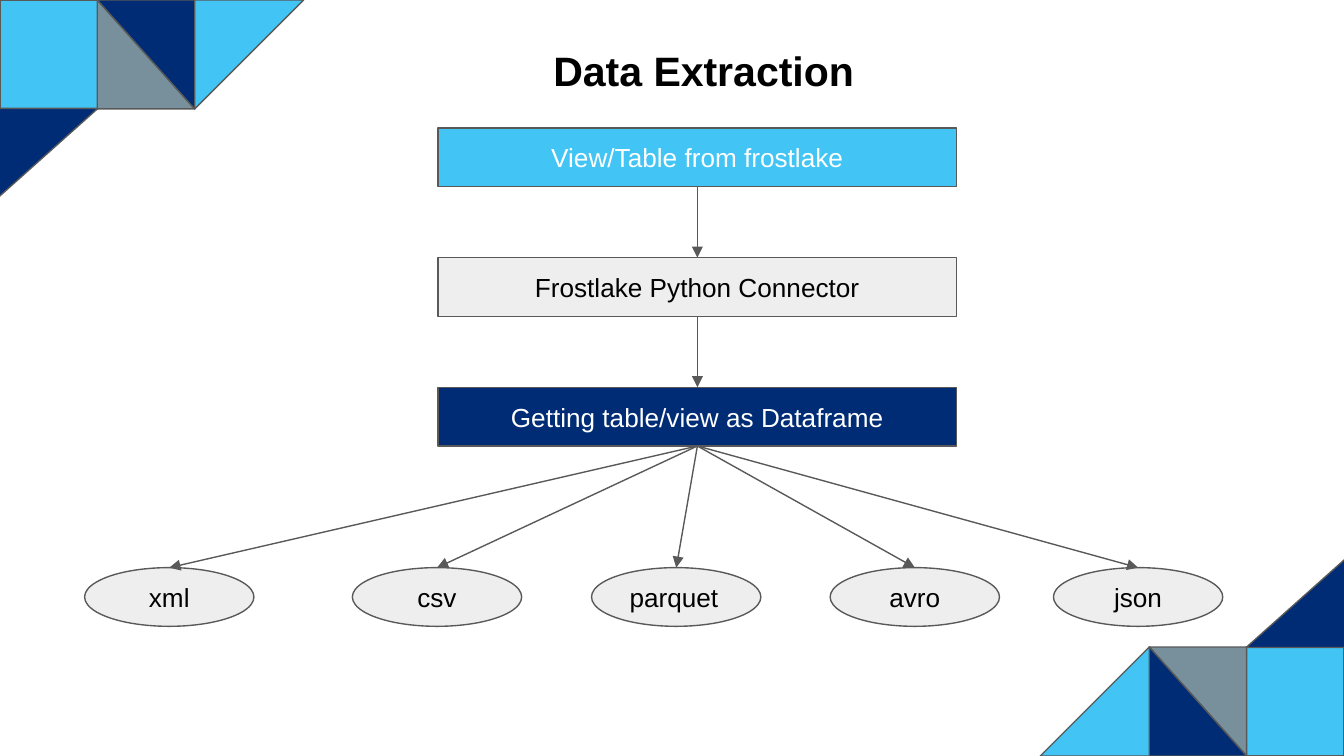
from lxml import etree
from pptx import Presentation
from pptx.dml.color import RGBColor
from pptx.enum.shapes import MSO_CONNECTOR, MSO_SHAPE
from pptx.enum.text import MSO_ANCHOR, PP_ALIGN
from pptx.oxml.ns import qn
from pptx.util import Cm, Pt

RECT = MSO_SHAPE.RECTANGLE
OVAL = MSO_SHAPE.OVAL
WEDGE = MSO_SHAPE.RIGHT_TRIANGLE
LINE = MSO_CONNECTOR.STRAIGHT
CENTER, LEFT = PP_ALIGN.CENTER, PP_ALIGN.LEFT
TOP, MIDDLE = MSO_ANCHOR.TOP, MSO_ANCHOR.MIDDLE
BOTTOM_SITE, TOP_SITE = 2, 0

WIDE, HIGH = 25.4, 14.29
SKY, NAVY, SLATE = "42C5F4", "002C76", "78909C"
PALE, GREY, WHITE, BLACK = "EEEEEE", "595959", "FFFFFF", "000000"


def color(code):
    return RGBColor.from_string(code)


class Deck:
    font = {"name": "Arial", "size": Pt(14), "bold": False}
    frame = {
        "margin_left": Cm(0.25), "margin_right": Cm(0.25),
        "margin_top": Cm(0.25), "margin_bottom": Cm(0.25),
        "word_wrap": True, "vertical_anchor": MIDDLE,
    }

    def __init__(self, slide):
        self.slide = slide

    def apply(self, item, values):
        for key, value in values.items():
            setattr(item, key, value)

    def label(self, shape, text, ink, align=CENTER, font=None, frame=None):
        body = shape.text_frame
        body.text = text
        self.apply(body, self.frame | (frame or {}))
        par = body.paragraphs[0]
        par.alignment = align
        run = par.runs[0]
        self.apply(run.font, self.font | (font or {}))
        run.font.color.rgb = color(ink)

    def title(self, text, *box):
        shape = self.slide.shapes.title
        names = ("left", "top", "width", "height")
        self.apply(shape, dict(zip(names, map(Cm, box))))
        self.label(shape, text, BLACK, font={"size": Pt(22), "bold": True},
                   frame={"vertical_anchor": TOP})

    def shape(self, kind, box, fill, turn=0):
        shape = self.slide.shapes.add_shape(kind, *map(Cm, box))
        shape.shadow.inherit = False
        shape.rotation = turn
        shape.fill.solid()
        shape.fill.fore_color.rgb = color(fill)
        self.stroke(shape.line)
        return shape

    def node(self, kind, box, fill, text, ink, align=CENTER):
        shape = self.shape(kind, box, fill)
        self.label(shape, text, ink, align)
        return shape

    def stroke(self, line):
        line.color.rgb = color(GREY)
        line.width = Pt(0.75)

    def arrow(self, start, end):
        link = self.slide.shapes.add_connector(LINE, 0, 0, 0, 0)
        link.begin_connect(start, BOTTOM_SITE)
        link.end_connect(end, TOP_SITE)
        self.stroke(link.line)
        props = link._element.spPr
        etree.SubElement(props.find(qn("a:ln")), qn("a:tailEnd"), type="triangle")
        etree.SubElement(props, qn("a:effectLst"))


def main():
    show = Presentation()
    show.slide_width, show.slide_height = Cm(WIDE), Cm(HIGH)
    deck = Deck(show.slides.add_slide(show.slide_layouts[5]))

    tile_w, tile_h = 1.84, 2.06
    tiles = [
        (RECT, 0, 0, tile_w, SKY, 0),
        (WEDGE, tile_w, 0, tile_w, SLATE, 0),
        (WEDGE, tile_w, 0, tile_w, NAVY, 180),
        (WEDGE, 2 * tile_w, 0, tile_h, SKY, 90),
        (WEDGE, -0.1, 1.94, tile_w, NAVY, 90),
    ]
    for flip in (False, True):
        for kind, x, y, wide, fill, turn in tiles:
            if flip:
                x, y = WIDE - x - wide, HIGH - y - tile_h
                turn = (turn + 180) % 360
            deck.shape(kind, (x, y, wide, tile_h), fill, turn)

    deck.title("Data Extraction", 8.64, 0.61, 9.32, 1.45)

    steps = [
        ("View/Table from frostlake", SKY, WHITE),
        ("Frostlake Python Connector", PALE, BLACK),
        ("Getting table/view as Dataframe", NAVY, WHITE),
    ]
    boxes = [
        deck.node(RECT, (8.28, 2.42 + 2.45 * row, 9.8, 1.11), fill, text, ink)
        for row, (text, fill, ink) in enumerate(steps)
    ]
    formats = [
        ("xml", 1.6, CENTER),
        ("csv", 6.66, CENTER),
        ("parquet", 11.18, LEFT),
        ("avro", 15.69, CENTER),
        ("json", 19.91, CENTER),
    ]
    ovals = [
        deck.node(OVAL, (x, 10.73, 3.2, 1.11), PALE, text, BLACK, align)
        for text, x, align in formats
    ]
    for start, end in zip(boxes, boxes[1:]):
        deck.arrow(start, end)
    for oval in ovals:
        deck.arrow(boxes[-1], oval)

    show.save("out.pptx")


if __name__ == "__main__":
    main()
